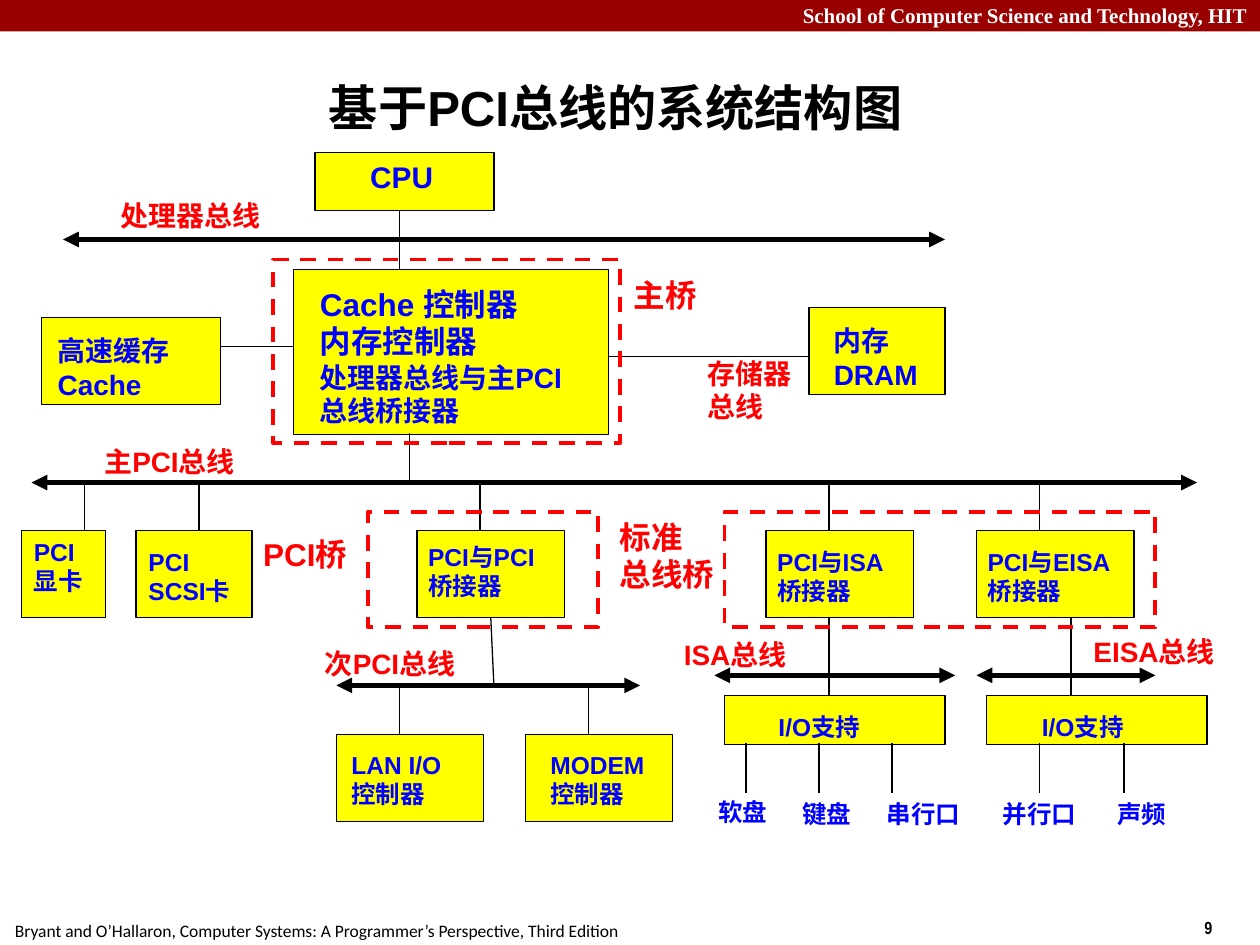
import pptx
import pptx.util
from pptx.dml.color import RGBColor
from pptx.enum.dml import MSO_LINE
from pptx.enum.shapes import MSO_CONNECTOR, MSO_SHAPE
from pptx.enum.text import MSO_ANCHOR, MSO_AUTO_SIZE, PP_ALIGN
from pptx.oxml.xmlchemy import OxmlElement

Inches, Pt = pptx.util.Inches, pptx.util.Pt

BLACK = RGBColor(0x00, 0x00, 0x00)
WHITE = RGBColor(0xFF, 0xFF, 0xFF)
DARK_RED = RGBColor(0x99, 0x00, 0x00)
RED = RGBColor(0xFF, 0x00, 0x00)
BLUE = RGBColor(0x00, 0x00, 0xFF)
YELLOW = RGBColor(0xFF, 0xFF, 0x00)

CARD_TOP, CARD_HEIGHT = 4.21, 0.69
CARD_BOTTOM = CARD_TOP + CARD_HEIGHT
CONTROLLER_TOP = 5.83
IO_TOP, IO_HEIGHT = 5.52, 0.39
PORT_TOP, PORT_BOTTOM = 5.9, 6.29
PROCESSOR_BUS, MAIN_PCI_BUS, SECOND_PCI_BUS, ISA_BUS = 1.9, 3.83, 5.44, 5.36

# name: box (left, top, width, height), text box, [(line, size)]
UNITS = {
    "cpu": ((2.5, 1.21, 1.42, 0.46), (2.84, 1.21, 0.7, 0.39), [("CPU", 17)]),
    "main bridge": ((2.33, 2.14, 2.5, 1.31), (2.44, 2.21, 2.17, 1.24),
                    [("Cache 控制器", 18), ("内存控制器", 18),
                     ("处理器总线与主PCI", 16), ("总线桥接器", 16)]),
    "cache": ((0.33, 2.52, 1.42, 0.69), (0.36, 2.6, 1.08, 0.64),
              [("高速缓存", 16), ("Cache", 16)]),
    "memory": ((6.42, 2.44, 1.08, 0.69), (6.52, 2.52, 0.86, 0.64),
               [("内存", 16), ("DRAM", 16)]),
    "video card": ((0.17, CARD_TOP, 0.67, CARD_HEIGHT), (0.17, 4.21, 0.67, 0.57),
                   [("PCI", 14), ("显卡", 14)]),
    "scsi card": ((1.08, CARD_TOP, 0.92, CARD_HEIGHT), (1.08, 4.29, 1.17, 0.57),
                  [("PCI", 14), ("SCSI卡", 14)]),
    "pci bridge": ((3.31, CARD_TOP, 1.17, CARD_HEIGHT), (3.3, 4.25, 1.14, 0.57),
                   [("PCI与PCI", 14), ("桥接器", 14)]),
    "isa bridge": ((6.08, CARD_TOP, 1.17, CARD_HEIGHT), (6.07, 4.29, 1.14, 0.57),
                   [("PCI与ISA", 14), ("桥接器", 14)]),
    "eisa bridge": ((7.75, CARD_TOP, 1.25, CARD_HEIGHT), (7.74, 4.29, 1.27, 0.57),
                    [("PCI与EISA", 14), ("桥接器", 14)]),
    "lan": ((2.67, CONTROLLER_TOP, 1.17, CARD_HEIGHT), (2.69, 5.9, 0.91, 0.57),
            [("LAN I/O", 14), ("控制器", 14)]),
    "modem": ((4.17, CONTROLLER_TOP, 1.17, CARD_HEIGHT), (4.27, 5.9, 0.94, 0.57),
              [("MODEM", 14), ("控制器", 14)]),
    "isa io": ((5.75, IO_TOP, 1.75, IO_HEIGHT), (6.08, 5.6, 0.89, 0.34),
               [("I/O支持", 14)]),
    "eisa io": ((7.83, IO_TOP, 1.75, IO_HEIGHT), (8.17, 5.6, 0.89, 0.34),
                [("I/O支持", 14)]),
}

# (right, left, y)
BUSES = [
    (7.5, 0.5, PROCESSOR_BUS), (9.5, 0.25, MAIN_PCI_BUS), (5.08, 2.67, SECOND_PCI_BUS),
    (7.58, 5.67, ISA_BUS), (9.17, 7.75, ISA_BUS),
]

# (top, bottom, x positions)
VERTICAL_LINKS = [
    (1.67, 2.14, [3.17]),
    (3.44, MAIN_PCI_BUS, [3.25]),
    (MAIN_PCI_BUS, CARD_TOP, [0.67, 1.58, 3.81, 6.58, 8.25]),
    (SECOND_PCI_BUS, CONTROLLER_TOP, [3.17, 4.67]),
    (CARD_BOTTOM, IO_TOP, [6.58, 8.5]),
    (PORT_TOP, PORT_BOTTOM, [5.92, 6.5, 7.08, 8.25, 8.92]),
]
# (right, left, y)
SIDE_LINKS = [(2.33, 1.75, 2.75), (6.42, 4.83, 2.83)]

PORTS = [
    ((5.6, 6.28, 0.59, 0.34), "软盘"), ((6.27, 6.29, 0.59, 0.34), "键盘"),
    ((6.94, 6.29, 0.78, 0.34), "串行口"), ((7.86, 6.29, 0.78, 0.34), "并行口"),
    ((8.77, 6.29, 0.59, 0.34), "声频"),
]

# (area, size, lines)
RED_LABELS = [
    ((0.86, 1.53, 1.31, 0.37), 16, ["处理器总线"]),
    ((0.73, 3.48, 1.34, 0.37), 16, ["主PCI总线"]),
    ((2.48, 5.08, 1.34, 0.37), 16, ["次PCI总线"]),
    ((5.33, 5.01, 1.06, 0.37), 16, ["ISA总线"]),
    ((8.58, 4.99, 1.21, 0.37), 16, ["EISA总线"]),
    ((5.52, 2.78, 0.86, 0.64), 16, ["存储器", "总线"]),
    ((4.82, 4.06, 0.95, 0.7), 18, ["标准", "总线桥"]),
    ((1.99, 4.2, 0.92, 0.4), 18, ["PCI桥"]),
    ((4.93, 2.14, 0.7, 0.4), 18, ["主桥"]),
]

BRIDGE_FRAMES = [(5.75, 4.06, 3.42, 0.92), (2.92, 4.06, 1.83, 0.92), (2.17, 2.06, 2.75, 1.46)]


def add_rectangle(slide, area, fill=None, line=None, width=0.75, dashed=False):
    shape = slide.shapes.add_shape(MSO_SHAPE.RECTANGLE, *map(Inches, area))
    shape.shadow.inherit = False
    if fill is None:
        shape.fill.background()
    else:
        shape.fill.solid()
        shape.fill.fore_color.rgb = fill
    if line is None:
        shape.line.fill.background()
    else:
        shape.line.color.rgb = line
        shape.line.width = Pt(width)
    if dashed:
        shape.line.dash_style = MSO_LINE.DASH
    return shape


def add_text(slide, area, lines, color, font="Arial", bold=True, align=PP_ALIGN.LEFT):
    """Add a text box holding one paragraph per (text, size) line."""
    box = slide.shapes.add_textbox(*map(Inches, area))
    frame = box.text_frame
    frame.word_wrap = True
    frame.auto_size = MSO_AUTO_SIZE.NONE
    if align == PP_ALIGN.LEFT:
        frame.margin_right = 0  # spare room keeps each label on one line
    for index, (text, size) in enumerate(lines):
        paragraph = frame.add_paragraph() if index else frame.paragraphs[0]
        paragraph.alignment = align
        run = paragraph.add_run()
        run.text = text
        run.font.name = font
        run.font.size = Pt(size)
        run.font.bold = bold
        run.font.color.rgb = color
    return frame


def add_line(slide, x1, y1, x2, y2, width=0.75, arrows=False):
    connector = slide.shapes.add_connector(
        MSO_CONNECTOR.STRAIGHT, *map(Inches, (x1, y1, x2, y2)))
    connector.line.color.rgb = BLACK
    connector.line.width = Pt(width)
    if arrows:
        line = connector.line._get_or_add_ln()
        for tag in ("a:headEnd", "a:tailEnd"):
            end = OxmlElement(tag)
            end.set("type", "triangle")
            line.append(end)
    connector._element.spPr.append(OxmlElement("a:effectLst"))
    return connector


def main():
    presentation = pptx.Presentation()
    presentation.slide_width, presentation.slide_height = Inches(10), Inches(7.5)
    slide = presentation.slides.add_slide(presentation.slide_layouts[6])

    add_rectangle(slide, (0, 0, 10, 0.25), DARK_RED)
    add_text(slide, (9.46, 7.23, 0.75, 0.27), [("9", 10)], BLACK, "Arial Narrow")
    add_text(slide, (0, -0.03, 10, 0.3),
             [("School of Computer Science and Technology, HIT", 12)],
             WHITE, "Times New Roman", align=PP_ALIGN.RIGHT)
    add_text(slide, (0.02, 7.25, 5.01, 0.27),
             [("Bryant and O’Hallaron, Computer Systems: "
               "A Programmer’s Perspective, Third Edition", 10)],
             BLACK, "Calibri", bold=False)
    title = add_text(slide, (0.67, 0.52, 8.52, 0.62), [("基于PCI总线的系统结构图 ", 28.1)],
                     BLACK, align=PP_ALIGN.CENTER)
    title.vertical_anchor = MSO_ANCHOR.BOTTOM
    title.paragraphs[0].line_spacing = 0.9

    boxes = {}
    for name, (area, text_area, lines) in UNITS.items():
        boxes[name] = add_rectangle(slide, area, YELLOW, BLACK)
        add_text(slide, text_area, lines, BLUE)

    for right, left, y in BUSES:
        add_line(slide, right, y, left, y, width=3, arrows=True)
    for top, bottom, positions in VERTICAL_LINKS:
        for x in positions:
            add_line(slide, x, top, x, bottom)
    for right, left, y in SIDE_LINKS:
        add_line(slide, right, y, left, y)
    second_pci_link = add_line(slide, 3.9, CARD_BOTTOM, 3.92, SECOND_PCI_BUS)
    second_pci_link.begin_connect(boxes["pci bridge"], 2)

    for area, text in PORTS:
        add_text(slide, area, [(text, 14)], BLUE)
    for area, size, lines in RED_LABELS:
        add_text(slide, area, [(line, size) for line in lines], RED)
    for area in BRIDGE_FRAMES:
        add_rectangle(slide, area, line=RED, width=2.25, dashed=True)

    presentation.save("out.pptx")


if __name__ == "__main__":
    main()
